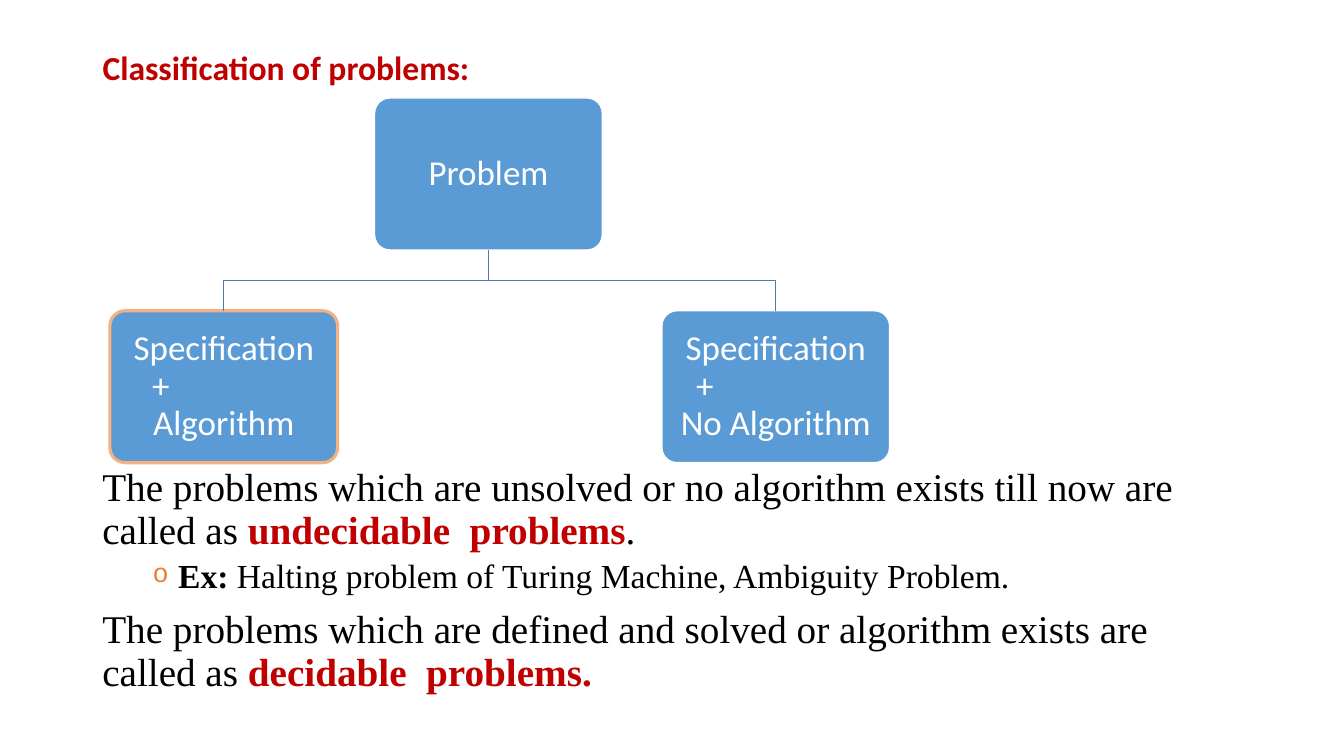
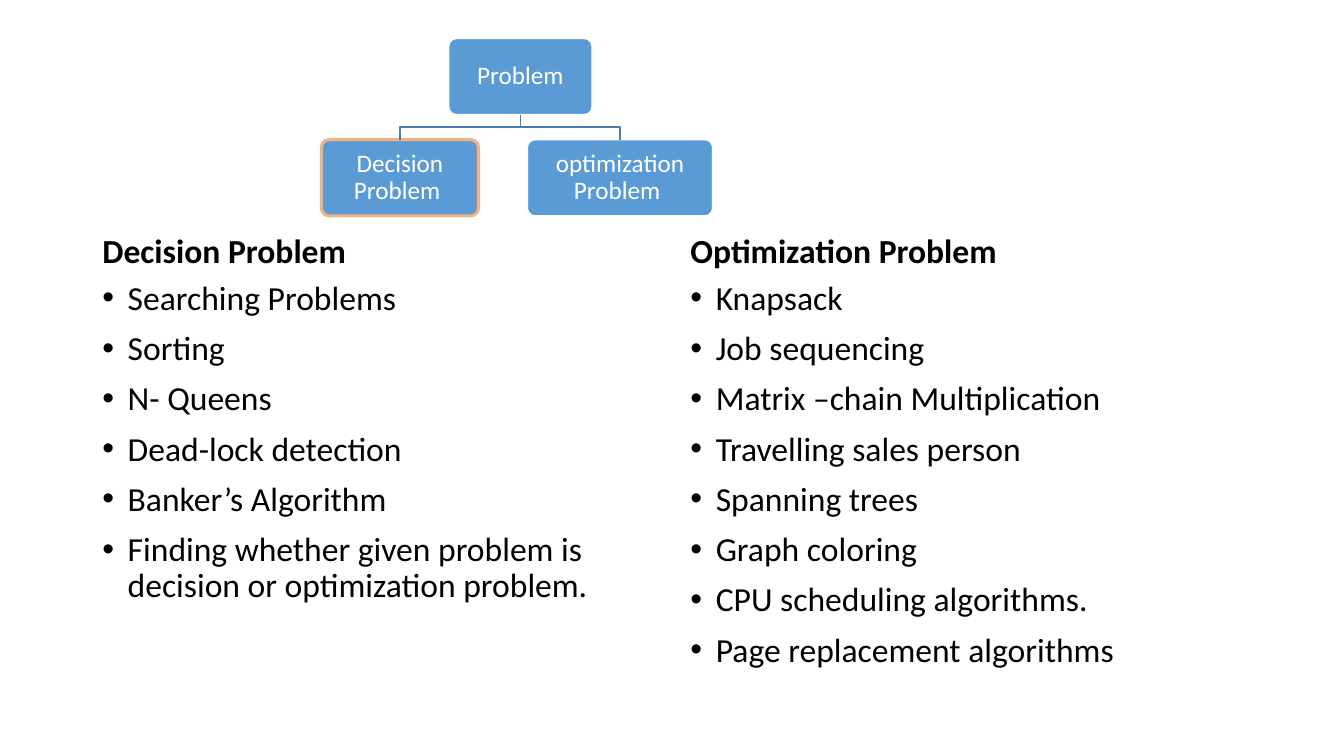
from lxml.etree import SubElement
from pptx import Presentation
from pptx.dml.color import RGBColor
from pptx.enum.shapes import MSO_SHAPE
from pptx.enum.text import MSO_ANCHOR, MSO_AUTO_SIZE, PP_ALIGN
from pptx.oxml.ns import qn
from pptx.util import Cm, Pt

BLACK, WHITE, RED = "000000", "FFFFFF", "C00000"
BLUE, BRANCH_BLUE = "5B9BD5", "497CAB"
HIGHLIGHT, BULLET_ORANGE = "F4B183", "ED7D31"
SANS, SERIF = "Calibri", "Times New Roman"
TITLE_ONLY, BLANK = 5, 6
LEFT, FULL_WIDTH = 2.33, 29.21


def rgb(color):
    return RGBColor.from_string(color)


class Deck:
    """Holds the shared style and the slide being filled; lengths are in cm."""

    def __init__(self):
        self.prs = Presentation()
        self.prs.slide_width, self.prs.slide_height = Cm(33.87), Cm(19.05)
        self.slide = None

    def new_slide(self, layout):
        self.slide = self.prs.slides.add_slide(self.prs.slide_layouts[layout])

    def style_run(self, run, size, color=BLACK, bold=False, font=SANS):
        run.font.name, run.font.size, run.font.bold = font, Pt(size), bold
        run.font.color.rgb = rgb(color)

    def style_paragraph(self, paragraph, before=0, align=PP_ALIGN.LEFT):
        paragraph.alignment = align
        paragraph.line_spacing = 0.9
        paragraph.space_before = Pt(before)

    def indent(self, paragraph, left, hanging=0):
        props = paragraph._p.get_or_add_pPr()
        props.set("marL", str(Cm(left)))
        props.set("indent", str(-Cm(hanging)))

    def bullet(self, paragraph, char, font="Arial", color=BLACK, percent=100):
        props = paragraph._p.get_or_add_pPr()
        tint = SubElement(props, qn("a:buClr"))
        SubElement(tint, qn("a:srgbClr"), val=color)
        SubElement(props, qn("a:buSzPct"), val=str(percent * 1000))
        SubElement(props, qn("a:buFont"), typeface=font)
        SubElement(props, qn("a:buChar"), char=char)

    def title(self, text):
        title = self.slide.shapes.title
        title.left, title.top = Cm(LEFT), Cm(1.02)
        title.width, title.height = Cm(FULL_WIDTH), Cm(1.45)
        frame = title.text_frame
        frame.text = text
        frame.auto_size = MSO_AUTO_SIZE.NONE
        frame.vertical_anchor = MSO_ANCHOR.MIDDLE
        self.style_paragraph(frame.paragraphs[0])
        self.style_run(frame.paragraphs[0].runs[0], 24, RED, True)

    def text_box(self, left, top, width, height, anchor=MSO_ANCHOR.TOP):
        box = self.slide.shapes.add_textbox(Cm(left), Cm(top), Cm(width), Cm(height))
        box.text_frame.word_wrap = True
        box.text_frame.vertical_anchor = anchor
        return box.text_frame

    def definitions(self, top, height, entries):
        """Each entry is (is_example, [(text, color, bold), ...])."""
        frame = self.text_box(LEFT, top, FULL_WIDTH, height)
        for i, (is_example, parts) in enumerate(entries):
            paragraph = frame.add_paragraph() if i else frame.paragraphs[0]
            self.style_paragraph(paragraph, 5 if is_example else 10)
            if is_example:
                self.indent(paragraph, 1.91, 0.64)
                self.bullet(paragraph, "o", "Courier New", BULLET_ORANGE, 80)
            for text, color, bold in parts:
                run = paragraph.add_run()
                run.text = text
                self.style_run(run, 24 if is_example else 28, color, bold, SERIF)

    def column(self, left, width, heading, items):
        head = self.text_box(left, 4.67, width, 2.29, MSO_ANCHOR.BOTTOM)
        head.text = heading
        self.style_paragraph(head.paragraphs[0], 10)
        self.style_run(head.paragraphs[0].runs[0], 24, bold=True)
        body = self.text_box(left, 6.96, width, 10.24)
        body.text = "\n".join(items)
        for paragraph in body.paragraphs:
            self.style_paragraph(paragraph, 10)
            self.indent(paragraph, 0.64, 0.64)
            self.bullet(paragraph, "•")
            self.style_run(paragraph.runs[0], 24)

    def node(self, text, left, top, width, height, size, inset, highlighted=False):
        box = self.slide.shapes.add_shape(
            MSO_SHAPE.ROUNDED_RECTANGLE, Cm(left), Cm(top), Cm(width), Cm(height))
        box.adjustments[0] = 0.1
        box.shadow.inherit = False
        box.fill.solid()
        box.fill.fore_color.rgb = rgb(BLUE)
        box.line.color.rgb = rgb(HIGHLIGHT if highlighted else WHITE)
        box.line.width = Pt(2.25 if highlighted else 1)
        frame = box.text_frame
        frame.word_wrap = True
        frame.vertical_anchor = MSO_ANCHOR.MIDDLE
        frame.margin_left = frame.margin_right = Cm(inset)
        frame.margin_top = frame.margin_bottom = Cm(inset)
        frame.text = text
        for paragraph in frame.paragraphs:
            self.style_paragraph(paragraph, align=PP_ALIGN.CENTER)
            self.style_run(paragraph.runs[0], size, WHITE)
        return box

    def branch(self, parent, child):
        """Bent open outline from the parent's bottom to the child's top."""
        start_x, start_y = parent.left + parent.width // 2, parent.top + parent.height
        end_x, end_y = child.left + child.width // 2, child.top
        fork_y = (start_y + end_y) // 2
        outline = self.slide.shapes.build_freeform(start_x, start_y)
        outline.add_line_segments(
            [(start_x, fork_y), (end_x, fork_y), (end_x, end_y)], close=False)
        bend = outline.convert_to_shape()
        bend.shadow.inherit = False
        bend.fill.background()
        bend.line.color.rgb = rgb(BRANCH_BLUE)
        bend.line.width = Pt(1)

    def tree(self, root, children, height, child_top, size, inset):
        """root is (text, left, top, width), each child (text, left, width).

        The first child is highlighted. Returns the child boxes.
        """
        parent = self.node(*root, height, size, inset)
        boxes = []
        for i, (text, left, width) in enumerate(children):
            box = self.node(text, left, child_top, width, height, size, inset, i == 0)
            self.branch(parent, box)
            boxes.append(box)
        return boxes


def classification_slide(deck):
    deck.new_slide(TITLE_ONLY)
    deck.title("Classification of problems:")
    outcomes = deck.tree(
        ("Problem", 9.44, 2.47, 5.74),
        [("Specification\n+\nAlgorithm", 2.77, 5.74),
         ("Specification\n+\nNo Algorithm", 16.68, 5.74)],
        height=3.83, child_top=7.83, size=25, inset=0.25)
    for outcome, plus_indent in zip(outcomes, (0.7, 0.5)):
        plus = outcome.text_frame.paragraphs[1]
        plus.alignment = PP_ALIGN.LEFT
        deck.indent(plus, plus_indent)
    deck.definitions(11.67, 6.05, [
        (False, [("The problems which are unsolved or no algorithm exists till now are "
                  "called as ", BLACK, False),
                 ("undecidable  problems", RED, True),
                 (".", BLACK, False)]),
        (True, [("Ex:", BLACK, True),
                (" Halting problem of Turing Machine, Ambiguity Problem.", BLACK, False)]),
        (False, [("The problems which are defined and solved or algorithm exists are "
                  "called as ", BLACK, False),
                 ("decidable  problems.", RED, True)]),
    ])


def problem_types_slide(deck):
    deck.new_slide(BLANK)
    deck.column(LEFT, 14.33, "Decision Problem", [
        "Searching Problems", "Sorting", "N- Queens", "Dead-lock detection",
        "Banker’s Algorithm",
        "Finding whether given problem is decision or optimization problem."])
    deck.column(17.15, 14.4, "Optimization Problem", [
        "Knapsack", "Job sequencing", "Matrix –chain Multiplication",
        "Travelling sales person", "Spanning trees", "Graph coloring",
        "CPU scheduling algorithms.", "Page replacement algorithms"])
    deck.tree(
        ("Problem", 11.31, 0.97, 3.61),
        [("Decision Problem ", 8.1, 3.96), ("optimization Problem ", 13.29, 4.67)],
        height=1.92, child_top=3.52, size=18, inset=0.18)


def main():
    deck = Deck()
    classification_slide(deck)
    problem_types_slide(deck)
    deck.prs.save("out.pptx")


if __name__ == "__main__":
    main()
